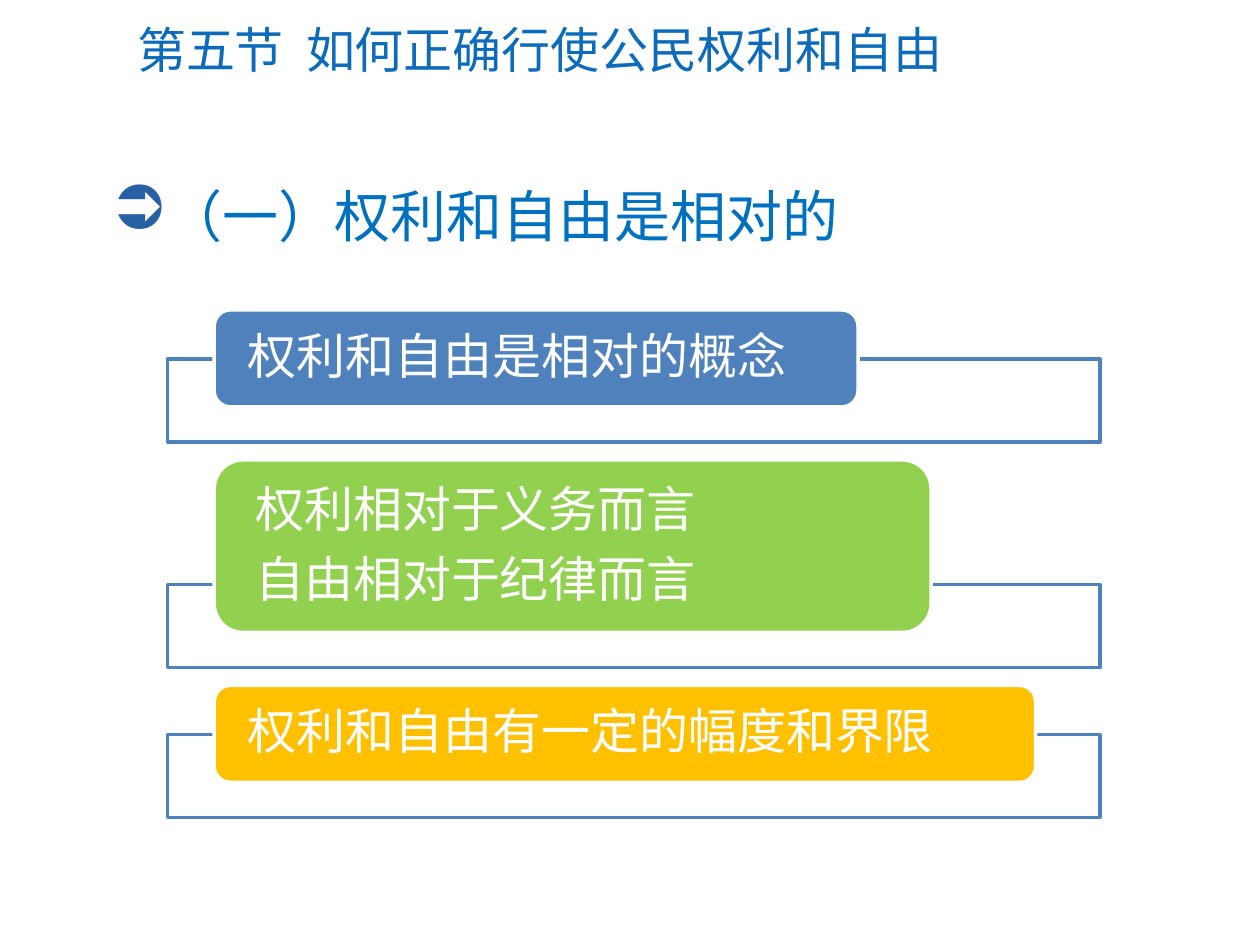
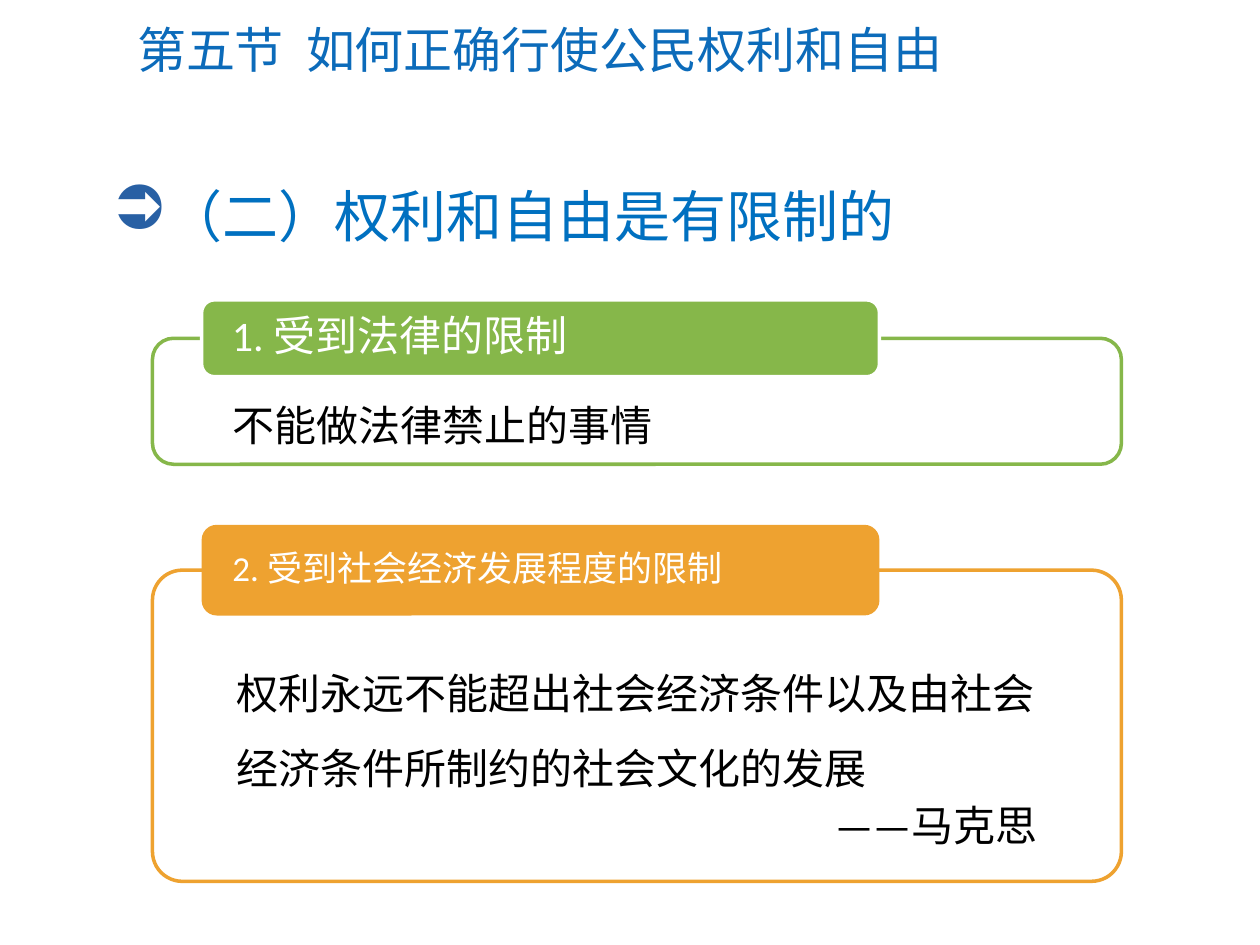
from dataclasses import dataclass

from lxml import etree
from pptx import Presentation
from pptx.dml.color import RGBColor
from pptx.enum.shapes import MSO_SHAPE
from pptx.enum.text import MSO_ANCHOR, PP_ALIGN
from pptx.oxml.ns import qn
from pptx.util import Inches, Pt

RECT, ROUND = MSO_SHAPE.RECTANGLE, MSO_SHAPE.ROUNDED_RECTANGLE
TOP, MIDDLE = MSO_ANCHOR.TOP, MSO_ANCHOR.MIDDLE
LEFT, RIGHT = PP_ALIGN.LEFT, PP_ALIGN.RIGHT


@dataclass(frozen=True)
class Theme:
    latin: str = "Calibri"
    cjk: str = "Noto Sans CJK SC"
    white: str = "FFFFFF"
    black: str = "000000"
    title: str = "0C6BBA"
    head: str = "0070C0"
    mark: str = "2860A4"
    blue: str = "4F81BD"
    lime: str = "92D050"
    gold: str = "FFC000"
    green: str = "86B74A"
    amber: str = "EEA230"
    big: int = 32
    main: int = 28
    body: int = 24
    small: int = 20
    edge: int = 2


T = Theme()

TITLE = "第五节  如何正确行使公民权利和自由"
HEADS = ["（一）权利和自由是相对的", "（二）权利和自由是有限制的"]

BARS = [
    dict(lines=["权利和自由是相对的概念"], width=5.11, height=0.77,
         fill=T.blue, pad=(0.23, 0.04)),
    dict(lines=["权利相对于义务而言", "自由相对于纪律而言"], width=5.69, height=1.37,
         fill=T.lime, pad=(0.26, 0.07)),
    dict(lines=["权利和自由有一定的幅度和界限"], width=6.52, height=0.77,
         fill=T.gold, pad=(0.23, 0.04)),
]

CARDS = [
    dict(label="1. 受到法律的限制", size=T.body, tall=0.61, edge=T.white,
         color=T.green, height=1.0, bend=0.167, pad=(0.59, 0.48, 0.59, 0.2),
         text=[("不能做法律禁止的事情", LEFT, 0.9)]),
    dict(label="2. 受到社会经济发展程度的限制", size=T.small, tall=0.72, edge=None,
         color=T.amber, height=2.47, bend=0.096, pad=(0.6, 0.5, 0.6, 0.21),
         text=[("权利永远不能超出社会经济条件以及由社会经济条件所制约的社会文化的发展",
                LEFT, 1.5),
               ("——马克思", RIGHT, 1.0)]),
]


def rgb(code):
    return RGBColor.from_string(code)


def add(node, tag, **attrs):
    return etree.SubElement(node, qn(tag), attrs)


def write(shape, lines, size, color, font=T.latin, anchor=MIDDLE,
          pad=(0.1, 0.05, 0.1, 0.05), after=0, bullet=None):
    frame = shape.text_frame
    sides = ("margin_left", "margin_top", "margin_right", "margin_bottom")
    form = dict(zip(sides, map(Inches, pad)), word_wrap=True, vertical_anchor=anchor)
    for key, val in form.items():
        setattr(frame, key, val)
    for pos, (text, align, space) in enumerate(lines):
        para = frame.paragraphs[0] if pos == 0 else frame.add_paragraph()
        para.alignment, para.line_spacing = align, space
        props = para._p.get_or_add_pPr()
        if after:
            add(add(props, "a:spcAft"), "a:spcPct", val=str(after * 1000))
        if bullet:
            props.set("marL", str(Inches(0.38)))
            props.set("indent", str(Inches(-0.38)))
            add(add(props, "a:buClr"), "a:srgbClr", val=T.mark)
            add(props, "a:buSzPct", val="110000")
            add(props, "a:buChar", char=bullet)
        run = para.add_run()
        run.text = text
        for key, val in dict(name=font, size=Pt(size), bold=False).items():
            setattr(run.font, key, val)
        run.font.color.rgb = rgb(color)
        add(run._r.get_or_add_rPr(), "a:ea", typeface=T.latin)


def block(slide, kind, box, fill, edge, bend=None, alpha=None):
    shape = slide.shapes.add_shape(kind, *map(Inches, box))
    shape.shadow.inherit = False
    shape.fill.solid()
    shape.fill.fore_color.rgb = rgb(fill)
    if alpha:
        tint = shape._element.spPr.find(qn("a:solidFill"))[0]
        add(tint, "a:alpha", val=str(alpha * 1000))
    if edge:
        shape.line.color.rgb = rgb(edge)
        shape.line.width = Pt(T.edge)
    else:
        shape.line.fill.background()
    if bend:
        shape.adjustments[0] = bend
    return shape


def start(deck, head):
    slide = deck.slides.add_slide(deck.slide_layouts[6])
    parts = [
        ((0.99, 0.1, 8.72, 0.58), TITLE, T.main, T.title, MIDDLE, None),
        ((0.79, 1.39, 8.34, 0.64), head, T.big, T.head, TOP, "➲"),
    ]
    for box, text, size, color, anchor, bullet in parts:
        shape = slide.shapes.add_textbox(*map(Inches, box))
        write(shape, [(text, LEFT, 1.0)], size, color, anchor=anchor, bullet=bullet)
    return slide


def draw_bars(slide):
    top, deep, gap, lap = 2.46, 0.66, 0.14, 0.38
    for bar in BARS:
        base = top + bar["height"] - lap
        block(slide, RECT, (1.33, base, 7.4, deep), T.white, T.blue, alpha=90)
        label = block(slide, ROUND, (1.7, top, bar["width"], bar["height"]),
                      bar["fill"], T.white, bend=0.167)
        lines = [(text, LEFT, 0.9) for text in bar["lines"]]
        write(label, lines, T.main, T.white, font=T.cjk, pad=bar["pad"] * 2, after=35)
        top = base + deep + gap


def draw_cards(slide):
    top, gap = 2.38, 0.48
    for card in CARDS:
        base = top + card["tall"] / 2
        panel = block(slide, ROUND, (1.21, base, 7.69, card["height"]), T.white,
                      card["color"], bend=card["bend"], alpha=90)
        write(panel, card["text"], T.body, T.black, anchor=TOP, pad=card["pad"], after=15)
        label = block(slide, ROUND, (1.6, top, 5.38, card["tall"]), card["color"],
                      card["edge"], bend=0.167)
        write(label, [(card["label"], LEFT, 0.9)], card["size"], T.white,
              pad=(0.21, 0.03) * 2, after=35)
        top = base + card["height"] + gap


def main():
    deck = Presentation()
    deck.slide_width, deck.slide_height = Inches(10), Inches(7.5)
    for head, draw in zip(HEADS, (draw_bars, draw_cards)):
        draw(start(deck, head))
    deck.save("out.pptx")


if __name__ == "__main__":
    main()
